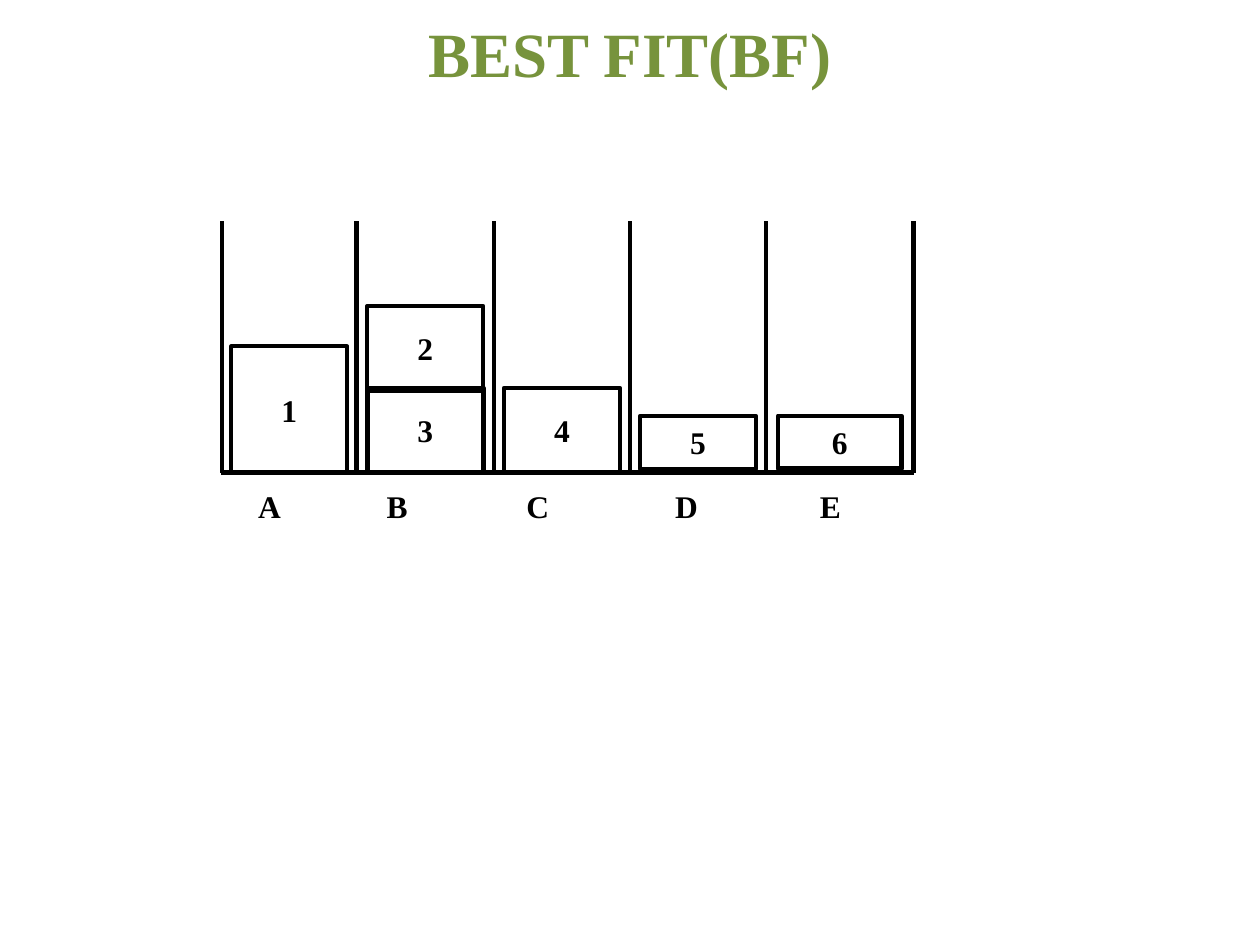
"""Build a slide that shows best-fit packing of six items into five bins."""
from pptx import Presentation, util as u
from pptx.dml.color import RGBColor
from pptx.enum import shapes, text
from pptx.oxml.ns import qn
from lxml import etree

GREEN = RGBColor(0x77, 0x93, 0x3C)
BLACK = RGBColor(0, 0, 0)
FLOOR, DEPTH, GAP = 3.75, 2, 0.09
WALLS = [1.76, 2.83, 3.92, 5, 6.08, 7.25]
ITEMS = [
    ("1", 0, 2.75, 0.92, 1, 2.25),
    ("5", 3, 3.3, 0.92, 0.42, 2.25),
    ("3", 1, 3.08, 0.92, 0.67, 2.75),
    ("2", 1, 2.43, 0.92, 0.67, 2.5),
    ("4", 2, 3.08, 0.92, 0.67, 2.5),
    ("6", 4, 3.3, 0.98, 0.42, 2.5),
]
LABELS = {"A": 1.95, "B": 2.97, "C": 4.08, "D": 5.26, "E": 6.41}


def write(shape, words, size, color):
    frame = shape.text_frame
    frame.text = words
    font = frame.paragraphs[0].runs[0].font
    font.name, font.size, font.bold = "Times New Roman", u.Pt(size), True
    font.color.rgb = color
    return frame


def rule(*ends):
    line = slide.shapes.add_connector(
        shapes.MSO_CONNECTOR.STRAIGHT, *[u.Inches(end) for end in ends])
    line.line.color.rgb, line.line.width = BLACK, u.Pt(2.5)
    etree.SubElement(line._element.spPr, qn("a:effectLst"))


deck = Presentation()
deck.slide_width, deck.slide_height = u.Inches(10), u.Inches(7.5)
slide = deck.slides.add_slide(deck.slide_layouts[5])

title = slide.shapes.title
title.left, title.top = 0, 0
title.width, title.height = deck.slide_width, u.Inches(0.83)
frame = write(title, "BEST FIT(BF)", 36, GREEN)
frame.vertical_anchor = text.MSO_ANCHOR.MIDDLE
frame.paragraphs[0].alignment = text.PP_ALIGN.CENTER
frame.paragraphs[0].space_before = u.Pt(4)

rule(1.75, FLOOR, WALLS[-1], FLOOR)
for wall in WALLS:
    rule(wall, FLOOR, wall, FLOOR - DEPTH)

for name, bin, top, width, height, weight in ITEMS:
    left = (WALLS[bin] + WALLS[bin + 1] - width) / 2
    box = slide.shapes.add_shape(
        shapes.MSO_SHAPE.RECTANGLE, u.Inches(left), u.Inches(top),
        u.Inches(width), u.Inches(height))
    box.shadow.inherit = False
    box.fill.background()
    box.line.color.rgb, box.line.width = BLACK, u.Pt(weight)
    frame = write(box, name, 18, BLACK)
    frame.word_wrap = False
    frame.vertical_anchor = text.MSO_ANCHOR.MIDDLE
    frame.paragraphs[0].alignment = text.PP_ALIGN.CENTER

for name, left in LABELS.items():
    label = slide.shapes.add_textbox(
        u.Inches(left), u.Inches(3.82), u.Inches(0.47), u.Inches(0.4))
    frame = write(label, name, 18, BLACK)
    frame.word_wrap = True
    frame.auto_size = text.MSO_AUTO_SIZE.SHAPE_TO_FIT_TEXT

deck.save("out.pptx")
